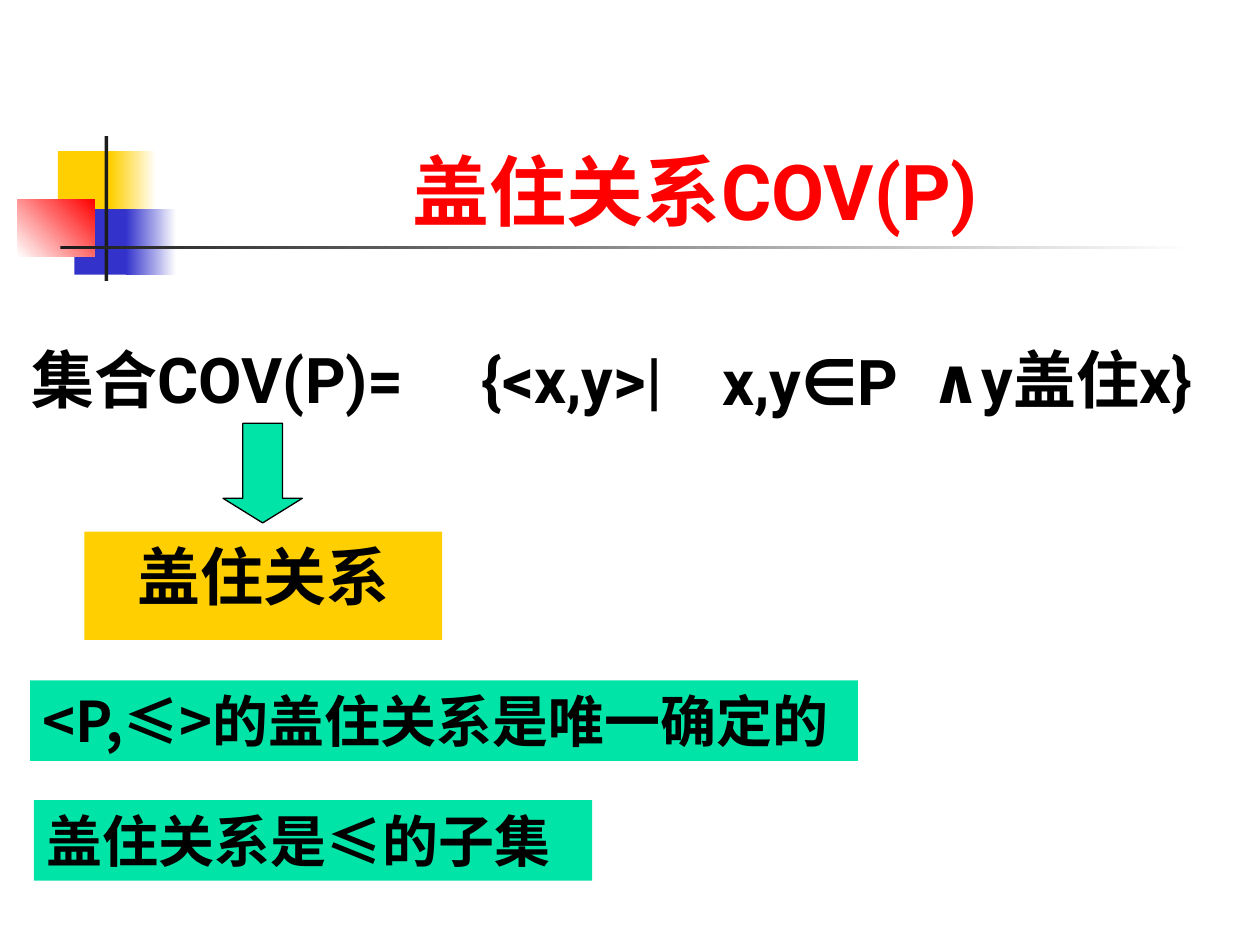
from lxml.etree import SubElement
from pptx import Presentation
from pptx.dml.color import RGBColor
from pptx.enum.shapes import MSO_SHAPE
from pptx.enum.text import MSO_ANCHOR, PP_ALIGN
from pptx.oxml.ns import qn
from pptx.util import Inches, Pt

LATIN, CJK = "Roboto", "Noto Sans CJK SC"
GOLD, BLUE, RED, GREEN = "FFCF01", "3333CC", "FF0000", "00E4A8"
DARK, BLACK, WHITE = "1C1C1C", "000000", "FFFFFF"

TITLE = "盖住关系COV(P)"
ORNAMENTS = [
    ((0.46, 1.2, 0.48, 0.52), (GOLD,), 0),
    ((0.88, 1.2, 0.36, 0.52), (GOLD, WHITE), 0),
    ((0.59, 1.66, 0.46, 0.52), (BLUE,), 0),
    ((1, 1.66, 0.4, 0.52), (BLUE, WHITE), 0),
    ((0.14, 1.58, 0.61, 0.46), (WHITE, RED), 45),
    ((0.83, 1.08, 0.03, 1.15), (DARK,), 0),
    ((0.48, 1.95, 9, 0.03), (DARK, WHITE), 0),
]
FORMULA = [
    ("集合COV(P)=", (0.08, 2.65, 3.3, 0.7)),
    ("{<x,y>|", (3.56, 2.65, 1.96, 0.7)),
    ("x,y∈P", (5.59, 2.67, 1.68, 0.7)),
    ("∧y盖住x}", (7.07, 2.65, 2.71, 0.7)),
]
PANELS = [
    ("盖住关系", (0.67, 4.22, 2.84, 0.86), GOLD, 36, LATIN, PP_ALIGN.CENTER),
    ("<P,≤>的盖住关系是唯一确定的", (0.24, 5.4, 6.57, 0.64), GREEN, 32, CJK, PP_ALIGN.LEFT),
    ("盖住关系是≤的子集", (0.27, 6.35, 4.43, 0.64), GREEN, 32, CJK, PP_ALIGN.LEFT),
]
ARROW = (1.77, 3.36, 0.63, 0.79)


def rgb(value):
    return RGBColor.from_string(value)


def inches(area):
    return [Inches(length) for length in area]


def add_block(page, area, colors, angle=0, kind=MSO_SHAPE.RECTANGLE):
    block = page.shapes.add_shape(kind, *inches(area))
    block.shadow.inherit = False
    block.line.fill.background()
    if len(colors) == 1:
        block.fill.solid()
        block.fill.fore_color.rgb = rgb(colors[0])
    else:
        block.fill.gradient()
        block.fill.gradient_angle = angle
        for stop, color in zip(block.fill.gradient_stops, colors):
            stop.color.rgb = rgb(color)
    return block


def write(box, text, size, font=LATIN, color=BLACK, align=PP_ALIGN.CENTER,
          anchor=MSO_ANCHOR.TOP, wrap=True):
    frame = box.text_frame
    frame.word_wrap = wrap
    frame.vertical_anchor = anchor
    frame.text = text
    para = frame.paragraphs[0]
    para.alignment = align
    para.font.size = Pt(size)
    para.font.bold = True
    para.font.name = font
    para.font.color.rgb = rgb(color)
    properties = para._p.pPr.find(qn("a:defRPr"))
    SubElement(properties, qn("a:ea")).set("typeface", CJK)


def main():
    deck = Presentation()
    deck.slide_width, deck.slide_height = Inches(10), Inches(7.5)
    page = deck.slides.add_slide(deck.slide_layouts[5])

    for area, colors, angle in ORNAMENTS:
        add_block(page, area, colors, angle)

    title = page.shapes.title
    title.left, title.top, title.width, title.height = inches((1.26, 0.67, 8.52, 1.25))
    write(title, TITLE, 44, color=RED, anchor=MSO_ANCHOR.BOTTOM)

    for text, area in FORMULA:
        write(page.shapes.add_textbox(*inches(area)), text, 36, wrap=False)

    for text, area, color, size, font, align in PANELS:
        write(add_block(page, area, (color,)), text, size, font, align=align)

    arrow = add_block(page, ARROW, (GREEN,), kind=MSO_SHAPE.DOWN_ARROW)
    arrow.adjustments[0], arrow.adjustments[1] = 0.5, 0.31
    arrow.line.color.rgb = rgb(BLACK)
    arrow.line.width = Pt(0.75)

    deck.save("out.pptx")


if __name__ == "__main__":
    main()
